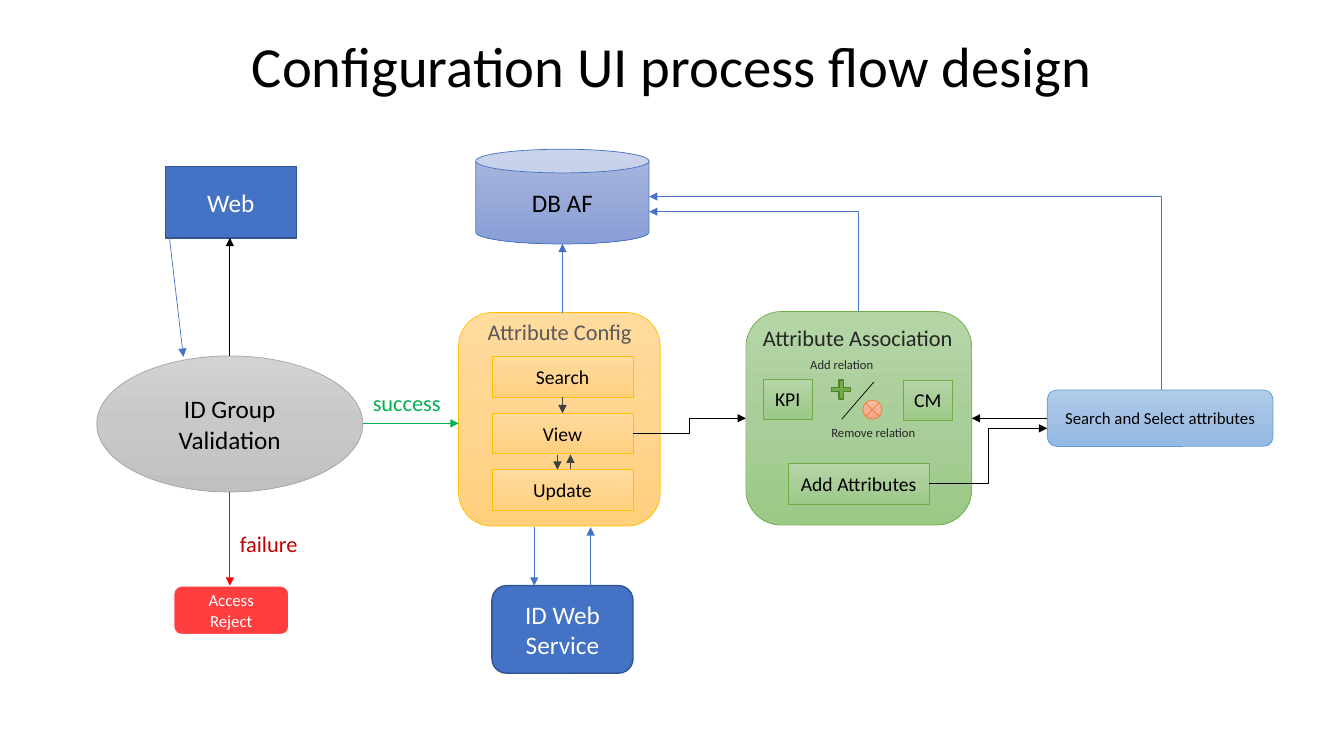
import copy
from dataclasses import dataclass

import pptx
import pptx.dml.color
import pptx.enum.shapes
import pptx.enum.text
import pptx.oxml
import pptx.oxml.ns
import pptx.util

Pt = pptx.util.Pt
Form = pptx.enum.shapes.MSO_SHAPE
Wire = pptx.enum.shapes.MSO_CONNECTOR
Anchor = pptx.enum.text.MSO_ANCHOR
Align = pptx.enum.text.PP_ALIGN
FONT = "Calibri"

COLORS = {
    "black": "000000", "white": "FFFFFF", "dark": "262626", "slate": "404040",
    "gray": "595959", "blue": "4472C4", "navy": "325491", "red": "FF0000",
    "coral": "FF3F3F", "maroon": "C00000", "green": "00B050",
    "leaf": "70AD47", "moss": "538035", "gold": "FFC000", "silver": "A5A5A5",
    "sky": "5B9BD5", "orange": "ED7D31",
    "gray1": "D2D2D2", "gray2": "C8C8C8", "gray3": "C0C0C0",
    "gold1": "FFDB9E", "gold2": "FFD590", "gold3": "FFD07C",
    "leaf1": "B5D5A7", "leaf2": "AACE9A", "leaf3": "9CC987",
    "sky1": "B1CBE9", "sky2": "A3C1E5", "sky3": "93B9E4",
    "peach1": "F7BDA5", "peach2": "F5B196", "peach3": "F8A582",
    "blue1": "A8B7DF", "blue2": "9AABD9", "blue3": "889ED7",
}


@dataclass
class Style:
    fills: list[str]  # one colour, or three for a gradient
    edge: str
    width: float = 0.5
    ink: str = "black"


@dataclass
class Box:
    form: Form
    x: float
    y: float
    w: float
    h: float
    style: Style
    text: str = ""
    size: float = 14


@dataclass
class Label:
    x: float
    y: float
    w: float
    h: float
    text: str
    size: float
    ink: str
    align: Align = Align.LEFT


@dataclass
class Line:
    x1: float
    y1: float
    x2: float
    y2: float
    ink: str
    width: float = 0.5
    end: str = "tailEnd"
    bend: str = ""


def shades(name: str, edge: str) -> Style:
    return Style([f"{name}{i}" for i in (1, 2, 3)], edge)


GRAY, GOLD = shades("gray", "silver"), shades("gold", "gold")
LEAF, SKY = shades("leaf", "leaf"), shades("sky", "sky")
PEACH, STORE = shades("peach", "orange"), shades("blue", "blue")
SOLID = Style(["blue"], "navy", 1, "white")
ALERT = Style(["coral"], "white", 1.5, "white")
PLUS = Style(["leaf"], "moss", 1)

BOXES = [
    Box(Form.OVAL, 69.1, 254.2, 190.1, 97.2, GRAY, "ID Group Validation", 18),
    Box(Form.RECTANGLE, 118.1, 118.8, 93.6, 51.1, SOLID, "Web", 18),
    Box(Form.CAN, 339.8, 106.6, 123.8, 67.7, STORE, "DB AF", 18),
    Box(Form.ROUNDED_RECTANGLE, 123.8, 418.3, 82.8, 35.3, ALERT, "Access Reject", 12),
    Box(Form.ROUNDED_RECTANGLE, 351.4, 418.3, 100.8, 62.6, SOLID, "ID Web Service", 18),
    # Attribute config and its steps
    Box(Form.ROUNDED_RECTANGLE, 327.6, 223.2, 144, 152.6, GOLD),
    *(Box(Form.RECTANGLE, 351.4, 254.9 + 40.3 * i, 100.8, 28.8, GOLD, step)
      for i, step in enumerate(["Search", "View", "Update"])),
    # Attribute association and its parts
    Box(Form.ROUNDED_RECTANGLE, 532.8, 222.5, 161.3, 152.6, LEAF),
    Box(Form.RECTANGLE, 545, 270.7, 35.3, 28.8, LEAF, "KPI"),
    Box(Form.RECTANGLE, 645.1, 271.4, 35.3, 28.8, LEAF, "CM"),
    Box(Form.CROSS, 594, 271.4, 13.7, 13.7, PLUS),
    Box(Form.FLOWCHART_SUMMING_JUNCTION, 616.3, 285.8, 13.7, 13.7, PEACH),
    Box(Form.RECTANGLE, 563, 331.2, 100.8, 28.8, LEAF, "Add Attributes"),
    Box(Form.ROUNDED_RECTANGLE, 748.1, 278.6, 161.3, 40.3, SKY,
        "Search and Select attributes", 12),
]

LABELS = [
    Label(259.2, 274.3, 67.7, 26.6, "success", 16, "green"),
    Label(164.2, 375.1, 67.7, 26.6, "failure", 16, "maroon"),
    Label(341.3, 223.9, 120.2, 26.6, "Attribute Config", 16, "gray"),
    Label(533.5, 228.2, 158.4, 26.6, "Attribute Association", 16, "dark", Align.CENTER),
    Label(571.7, 251.3, 67.7, 18, "Add relation", 9, "dark"),
    Label(586.8, 300.2, 82.1, 18, "Remove relation", 9, "dark"),
]

LINES = [
    # Access check
    Line(164.2, 254.2, 164.2, 169.9, "black"),
    Line(118.1, 144.7, 131, 254.9, "blue"),
    Line(259.2, 302.4, 327.6, 302.4, "green"),
    Line(164.2, 351.4, 164.2, 418.3, "red"),
    # Steps
    Line(401.8, 283.7, 401.8, 295.2, "slate"),
    Line(398.2, 324.7, 398.2, 335.5, "slate"),
    Line(407.5, 334.8, 407.5, 324.7, "slate"),
    # Between the stages
    Line(452.2, 309.6, 532.8, 298.8, "black", 1, bend="bentConnector3"),
    Line(663.8, 345.6, 748.1, 306, "black", 1, bend="bentConnector3"),
    Line(748.1, 298.8, 694.1, 298.8, "black"),
    Line(601.2, 299.5, 624.2, 272.9, "black", end=""),
    # To and from the services
    Line(401.8, 223.9, 401.8, 174.2, "blue"),
    Line(463.7, 151.2, 613.4, 222.5, "blue", end="headEnd", bend="bentConnector2"),
    Line(463.7, 140.4, 829.4, 278.6, "blue", end="headEnd", bend="bentConnector2"),
    Line(381.6, 376.6, 381.6, 418.3, "blue"),
    Line(421.9, 418.3, 421.9, 376.6, "blue"),
]


def tone(name: str) -> pptx.dml.color.RGBColor:
    return pptx.dml.color.RGBColor.from_string(COLORS[name])


def write(frame, text: str, size: float, ink: str, align: Align) -> None:
    frame.word_wrap = True
    para = frame.paragraphs[0]
    para.text = text
    para.alignment = align
    para.font.name = FONT
    para.font.size = Pt(size)
    para.font.color.rgb = tone(ink)


def paint(shape, fills: list[str]) -> None:
    if len(fills) == 1:
        shape.fill.solid()
        shape.fill.fore_color.rgb = tone(fills[0])
        return
    shape.fill.gradient()
    shape.fill.gradient_angle = 270
    stops = shape._element.xpath(".//a:gsLst")[0]
    stops.insert(1, copy.deepcopy(stops[0]))
    stops[1].set("pos", "50000")
    for stop, name in zip(shape.fill.gradient_stops, fills):
        stop.color.rgb = tone(name)


def draw_box(slide, box: Box) -> None:
    shape = slide.shapes.add_shape(box.form, Pt(box.x), Pt(box.y), Pt(box.w), Pt(box.h))
    shape.shadow.inherit = False
    paint(shape, box.style.fills)
    shape.line.color.rgb = tone(box.style.edge)
    shape.line.width = Pt(box.style.width)
    if box.form == Form.CROSS:
        shape.adjustments[0] = 0.39
    if box.text:
        frame = shape.text_frame
        frame.vertical_anchor = Anchor.MIDDLE
        if box.w < 50:
            frame.margin_left = frame.margin_right = 0
        write(frame, box.text, box.size, box.style.ink, Align.CENTER)


def draw_label(slide, label: Label) -> None:
    area = slide.shapes.add_textbox(Pt(label.x), Pt(label.y), Pt(label.w), Pt(label.h))
    write(area.text_frame, label.text, label.size, label.ink, label.align)


def draw_line(slide, line: Line) -> None:
    kind = Wire.ELBOW if line.bend else Wire.STRAIGHT
    wire = slide.shapes.add_connector(
        kind, Pt(line.x1), Pt(line.y1), Pt(line.x2), Pt(line.y2))
    wire.line.color.rgb = tone(line.ink)
    wire.line.width = Pt(line.width)
    props = wire._element.spPr
    if line.bend:
        props.find(pptx.oxml.ns.qn("a:prstGeom")).set("prst", line.bend)
    if line.end:
        tip = pptx.oxml.parse_xml(
            f'<a:{line.end} {pptx.oxml.ns.nsdecls("a")} type="triangle"/>')
        props.find(pptx.oxml.ns.qn("a:ln")).append(tip)
    props.append(pptx.oxml.parse_xml(f'<a:effectLst {pptx.oxml.ns.nsdecls("a")}/>'))


def draw_title(slide) -> None:
    title = slide.shapes.title
    title.left, title.top, title.width, title.height = map(Pt, (66.2, 28.8, 828, 43.9))
    frame = title.text_frame
    frame.auto_size = pptx.enum.text.MSO_AUTO_SIZE.NONE
    frame.vertical_anchor = Anchor.BOTTOM
    write(frame, "Configuration UI process flow design", 40.5, "black", Align.CENTER)
    frame.paragraphs[0].line_spacing = 0.7


def main() -> None:
    deck = pptx.Presentation()
    deck.slide_width, deck.slide_height = Pt(960), Pt(540)
    slide = deck.slides.add_slide(deck.slide_layouts[5])
    draw_title(slide)
    for box in BOXES:
        draw_box(slide, box)
    for label in LABELS:
        draw_label(slide, label)
    for line in LINES:
        draw_line(slide, line)
    deck.save("out.pptx")


if __name__ == "__main__":
    main()
